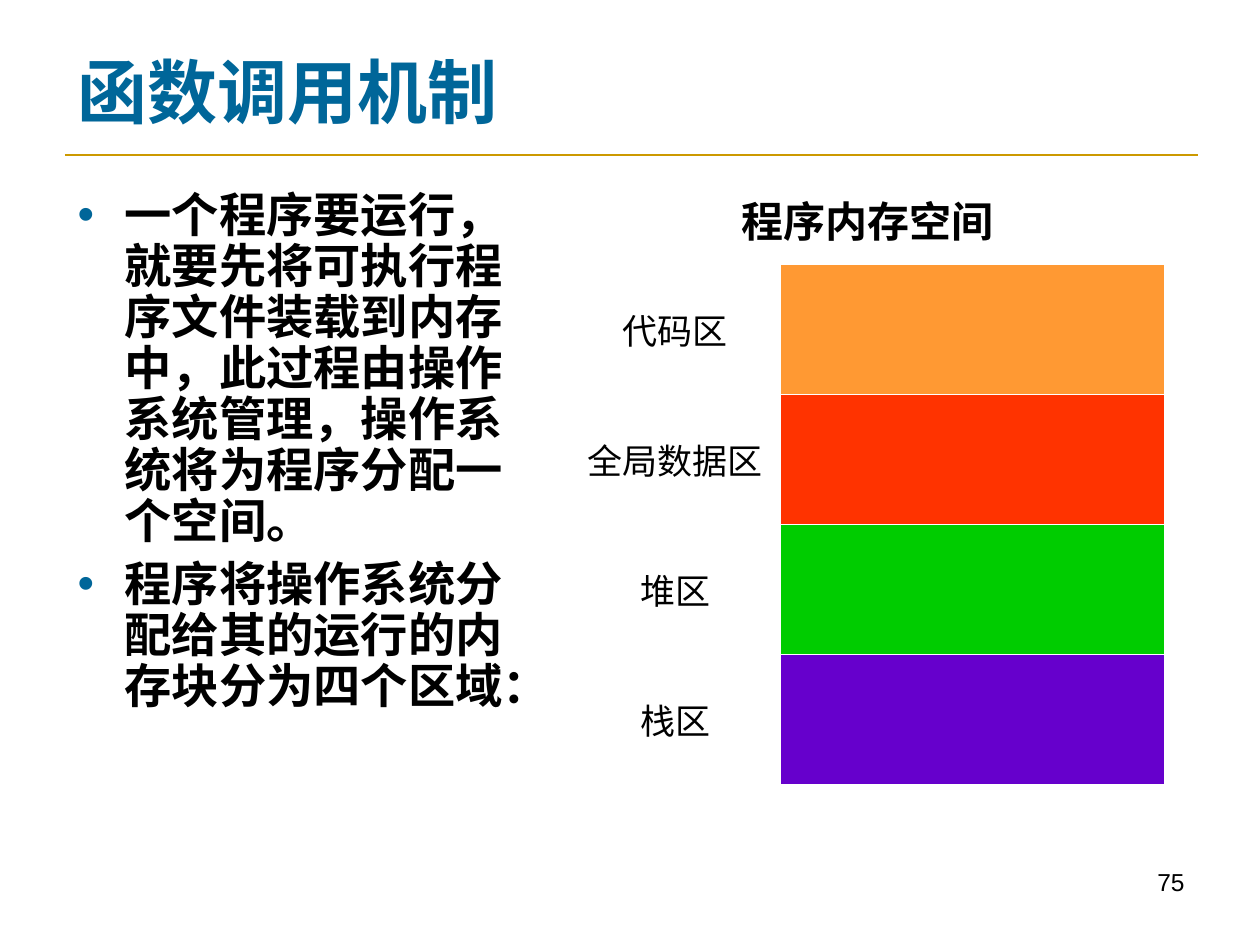
from lxml.etree import SubElement
from pptx import Presentation
from pptx.dml.color import RGBColor
from pptx.enum.shapes import MSO_CONNECTOR
from pptx.enum.text import MSO_ANCHOR, MSO_AUTO_SIZE, PP_ALIGN
from pptx.oxml.ns import qn
from pptx.util import Pt

PX = 914400 // 126
BLUE = RGBColor(0x00, 0x66, 0x99)
GOLD = RGBColor(0xCC, 0x99, 0x00)
BLACK = RGBColor(0x00, 0x00, 0x00)
ORANGE = RGBColor(0xFF, 0x99, 0x33)
RED = RGBColor(0xFF, 0x33, 0x00)
GREEN = RGBColor(0x00, 0xCC, 0x00)
PURPLE = RGBColor(0x66, 0x00, 0xCC)
CJK = "Noto Sans CJK SC"
SERIF = "Times New Roman"


def style(paragraph, size, name, color, bold, align):
    paragraph.alignment = align
    font = paragraph.font
    font.size, font.bold = Pt(size), bold
    font.color.rgb = color
    font.name = name
    SubElement(font._element, qn("a:ea"), typeface=CJK)


def place(shape, left, top, width, height):
    shape.left, shape.top = left * PX, top * PX
    shape.width, shape.height = width * PX, height * PX


prs = Presentation()
prs.slide_width, prs.slide_height = 1260 * PX, 945 * PX
slide = prs.slides.add_slide(prs.slide_layouts[1])

rule = slide.shapes.add_connector(
    MSO_CONNECTOR.STRAIGHT, 65 * PX, 155 * PX, 1198 * PX, 155 * PX)
rule.line.color.rgb = GOLD
rule.line.width = Pt(1.5)
SubElement(rule._element.spPr, qn("a:effectLst"))

title = slide.shapes.title
place(title, 65, 35, 1134, 110)
title.text_frame.text = "函数调用机制"
title.text_frame.auto_size = MSO_AUTO_SIZE.NONE
title.text_frame.vertical_anchor = MSO_ANCHOR.MIDDLE
style(title.text_frame.paragraphs[0], 40, SERIF, BLUE, True, PP_ALIGN.LEFT)

explanation = slide.placeholders[1]
place(explanation, 65, 185, 466, 556)
explanation.text_frame.text = (
    "一个程序要运行，就要先将可执行程序文件装载到内存中，此过程由操作系统管理，操作系统将为程序分配一个空间。\n"
    "程序将操作系统分配给其的运行的内存块分为四个区域：")
explanation.text_frame.auto_size = MSO_AUTO_SIZE.NONE
for index, point in enumerate(explanation.text_frame.paragraphs):
    point.line_spacing = 0.9
    point.space_before = Pt(6.8 if index else 0)
    props = point._p.get_or_add_pPr()
    props.set("marL", str(47 * PX))
    props.set("indent", str(-47 * PX))
    bullet_color = SubElement(props, qn("a:buClr"))
    SubElement(bullet_color, qn("a:srgbClr"), val=str(BLUE))
    SubElement(props, qn("a:buFont"), typeface="Arial")
    SubElement(props, qn("a:buChar"), char="•")
    style(point, 27, CJK, BLACK, True, PP_ALIGN.LEFT)

page_number = slide.shapes.add_textbox(903 * PX, 861 * PX, 294 * PX, 66 * PX)
page_number.text_frame.word_wrap = True
page_number.text_frame.text = "75"
style(page_number.text_frame.paragraphs[0], 14, "Arial", BLACK, False, PP_ALIGN.RIGHT)

regions = [("代码区", ORANGE), ("全局数据区", RED), ("堆区", GREEN), ("栈区", PURPLE)]
memory = slide.shapes.add_table(
    len(regions) + 1, 2, 571 * PX, 175 * PX, 593 * PX, 609 * PX).table
memory.first_row = memory.horz_banding = False
memory.columns[0].width, memory.columns[1].width = 209 * PX, 384 * PX
for index, row in enumerate(memory.rows):
    row.height = (130 if index else 89) * PX
memory.cell(0, 0).merge(memory.cell(0, 1))

for cell in memory.iter_cells():
    cell.vertical_anchor = MSO_ANCHOR.MIDDLE
    for side in ("a:lnL", "a:lnR", "a:lnT", "a:lnB"):
        border = SubElement(cell._tc.get_or_add_tcPr(), qn(side), w=str(Pt(0.45)))
        border_fill = SubElement(border, qn("a:solidFill"))
        SubElement(border_fill, qn("a:srgbClr"), val="FFFFFF")
    cell.fill.background()

heading = memory.cell(0, 0)
heading.text = "程序内存空间"
style(heading.text_frame.paragraphs[0], 24, SERIF, BLACK, True, PP_ALIGN.CENTER)
for index, (region, color) in enumerate(regions, 1):
    label, block = memory.cell(index, 0), memory.cell(index, 1)
    label.text = region
    style(label.text_frame.paragraphs[0], 20, SERIF, BLACK, False, PP_ALIGN.CENTER)
    block.fill.solid()
    block.fill.fore_color.rgb = color

prs.save("out.pptx")
